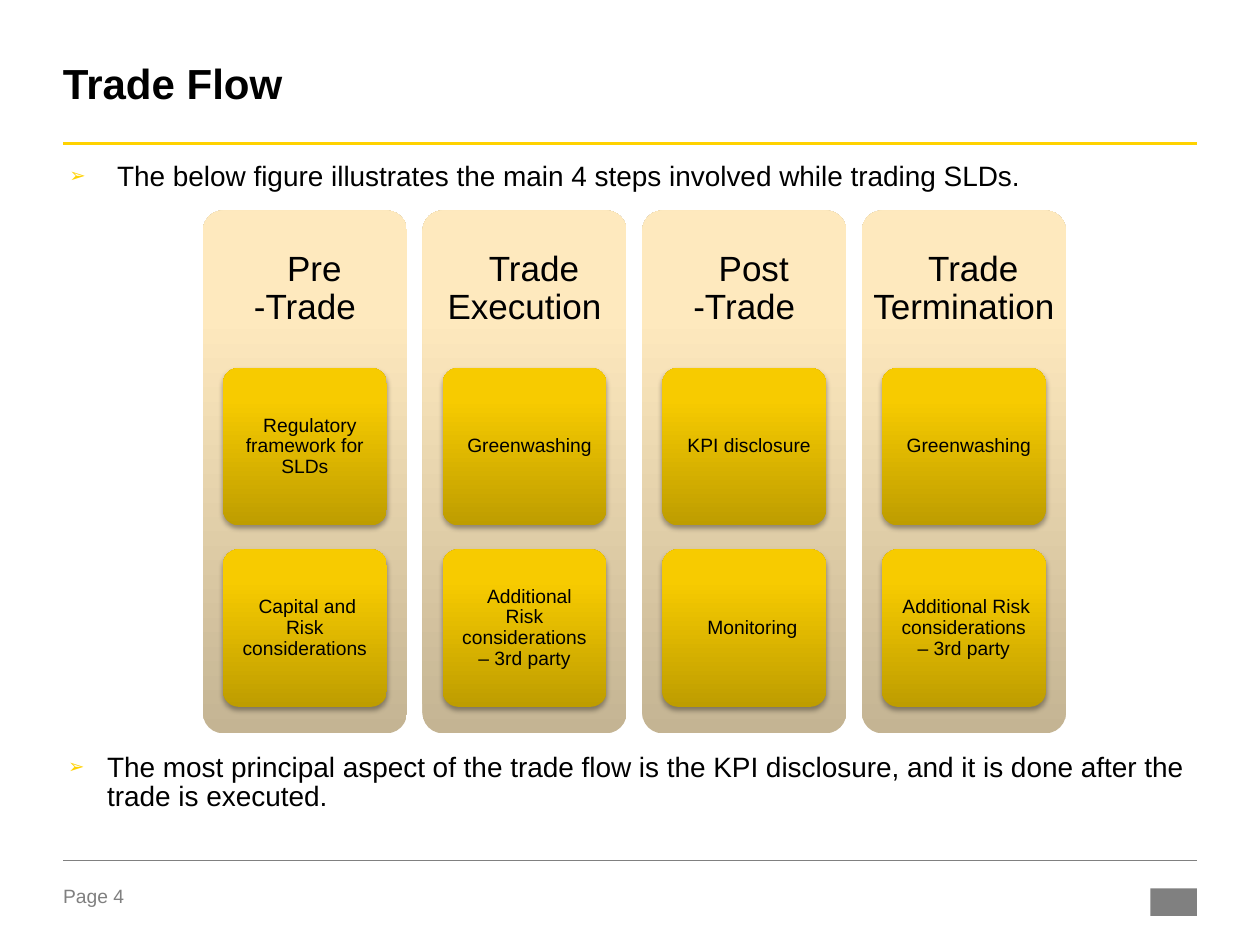
from pptx import Presentation
from pptx.dml.color import RGBColor
from pptx.enum.shapes import MSO_CONNECTOR, MSO_SHAPE
from pptx.enum.text import MSO_ANCHOR, PP_ALIGN
from pptx.oxml import parse_xml
from pptx.oxml.ns import nsdecls, qn
from pptx.util import Inches, Pt

ROUNDED = MSO_SHAPE.ROUNDED_RECTANGLE
STRAIGHT = MSO_CONNECTOR.STRAIGHT
TOP, MIDDLE = MSO_ANCHOR.TOP, MSO_ANCHOR.MIDDLE
LEFT, CENTER = PP_ALIGN.LEFT, PP_ALIGN.CENTER

COLORS = {"text": "000000", "grey": "808080", "accent": "FFD200"}
PANEL_STOPS = [(0, "C4B493"), (80, "FEE9BE"), (100, "FFEAC0")]
CARD_STOPS = [(0, "BE9D00"), (80, "F7CB00"), (100, "F8CC00")]

# Each step: heading, then cards; the number is the first-line indent in inches.
STEPS = [
    ("Pre\v-Trade", [("Regulatory framework for SLDs", 0.08),
                     ("Capital and Risk considerations", 0.04)]),
    ("Trade Execution", [("Greenwashing", 0.08),
                         ("Additional Risk considerations – 3rd party", 0.08)]),
    ("Post\v-Trade", [("KPI disclosure", 0.08), ("Monitoring", 0.13)]),
    ("Trade Termination", [("Greenwashing", 0.08),
                           ("Additional Risk considerations – 3rd party", 0.04)]),
]
BULLETS = [
    ("The below figure illustrates the main 4 steps involved while trading SLDs.",
     0.55, 1.26, 0.27, 0.38),
    ("The most principal aspect of the trade flow is the KPI disclosure, "
     "and it is done after the trade is executed.", 0.54, 5.95, 0.75, 0.31),
]


def write(shape, text, size, color="text", bold=False, align=LEFT, anchor=TOP,
          insets=(0, 0, 0, 0), spacing=1.0, indent=0):
    """Put one formatted paragraph in a shape and return the paragraph."""
    frame = shape.text_frame
    frame.word_wrap = True
    frame.vertical_anchor = anchor
    (frame.margin_left, frame.margin_top,
     frame.margin_right, frame.margin_bottom) = map(Inches, insets)
    paragraph = frame.paragraphs[0]
    paragraph.text = text
    paragraph.alignment = align
    paragraph.line_spacing = spacing
    if indent:
        paragraph._p.get_or_add_pPr().set("indent", str(Inches(indent)))
    for run in paragraph.runs:
        run.font.name = "Arial"
        run.font.size = Pt(size)
        run.font.bold = bold
        run.font.color.rgb = RGBColor.from_string(COLORS[color])
    return paragraph


def add_gradient_box(left, top, width, height, stops):
    box = slide.shapes.add_shape(ROUNDED, Inches(left), Inches(top),
                                 Inches(width), Inches(height))
    box.adjustments[0] = 0.1
    box.line.fill.background()
    box.shadow.inherit = False
    stop_xml = "".join(f'<a:gs pos="{pos * 1000}"><a:srgbClr val="{color}"/></a:gs>'
                       for pos, color in stops)
    properties = box._element.spPr
    properties.find(qn("a:prstGeom")).addnext(parse_xml(
        f'<a:gradFill {nsdecls("a")} rotWithShape="1"><a:gsLst>{stop_xml}</a:gsLst>'
        '<a:lin ang="16200000" scaled="0"/></a:gradFill>'))
    return box


prs = Presentation()
prs.slide_width, prs.slide_height = Inches(10), Inches(7.5)
slide = prs.slides.add_slide(prs.slide_layouts[6])

# Footer, plain mark and rules
page = slide.shapes.add_textbox(Inches(0.5), Inches(7.02), Inches(0.79), Inches(0.22))
write(page, "Page 4", 11, "grey")

mark = slide.shapes.add_shape(MSO_SHAPE.RECTANGLE, Inches(9.13), Inches(7.05),
                              Inches(0.37), Inches(0.22))
mark.shadow.inherit = False
mark.fill.solid()
mark.fill.fore_color.rgb = RGBColor.from_string(COLORS["grey"])
mark.line.fill.background()

for y, color, weight in [(1.14, "accent", 1.5), (6.83, "grey", 0.25)]:
    rule = slide.shapes.add_connector(STRAIGHT, Inches(0.5), Inches(y),
                                      Inches(9.5), Inches(y))
    rule.line.color.rgb = RGBColor.from_string(COLORS[color])
    rule.line.width = Pt(weight)
    rule._element.spPr.append(parse_xml(f'<a:effectLst {nsdecls("a")}/>'))

title = slide.shapes.add_textbox(Inches(0.5), Inches(0.22), Inches(9), Inches(0.94))
write(title, "Trade Flow", 24, bold=True, anchor=MIDDLE, spacing=0.85)

# Trade steps
first_left, last_left = 1.61, 6.84
column_step = (last_left - first_left) / (len(STEPS) - 1)
panel_top, panel_width, heading_height = 1.67, 1.62, 1.25
card_width, card_height, card_step = 1.3, 1.25, 1.44
card_margin = (panel_width - card_width) / 2

for column, (heading, cards) in enumerate(STEPS):
    left = first_left + column * column_step
    add_gradient_box(left, panel_top, panel_width, 4.15, PANEL_STOPS)
    label = slide.shapes.add_textbox(Inches(left), Inches(panel_top),
                                     Inches(panel_width), Inches(heading_height))
    write(label, heading, 20, align=CENTER, anchor=MIDDLE,
          insets=(0.08,) * 4, spacing=0.9, indent=0.15)
    for row, (topic, indent) in enumerate(cards):
        card = add_gradient_box(left + card_margin,
                                panel_top + heading_height + row * card_step,
                                card_width, card_height, CARD_STOPS)
        card._element.spPr.find(qn("a:effectLst")).append(parse_xml(
            f'<a:outerShdw {nsdecls("a")} blurRad="{Pt(3.1)}" dist="{Pt(1.8)}" '
            'dir="5400000" rotWithShape="0"><a:srgbClr val="000000">'
            '<a:alpha val="35000"/></a:srgbClr></a:outerShdw>'))
        write(card, topic, 11, align=CENTER, anchor=MIDDLE,
              insets=(0.07, 0.06, 0.07, 0.06), spacing=0.9, indent=indent)

# Bulleted remarks
for remark, left, top, height, hanging in BULLETS:
    box = slide.shapes.add_textbox(Inches(left), Inches(top), Inches(8.97), Inches(height))
    paragraph = write(box, remark, 16, insets=(0, 0.04, 0, 0),
                      spacing=0.85, indent=-hanging)
    paragraph.space_after = Pt(6)
    bullet = paragraph._p.get_or_add_pPr()
    bullet.set("marL", str(Inches(hanging)))
    for xml in (f'<a:buClr {nsdecls("a")}><a:srgbClr val="{COLORS["accent"]}"/></a:buClr>',
                f'<a:buSzPct {nsdecls("a")} val="70000"/>',
                f'<a:buFont {nsdecls("a")} typeface="Arial"/>',
                f'<a:buChar {nsdecls("a")} char="➢"/>'):
        bullet.append(parse_xml(xml))

prs.save("out.pptx")
